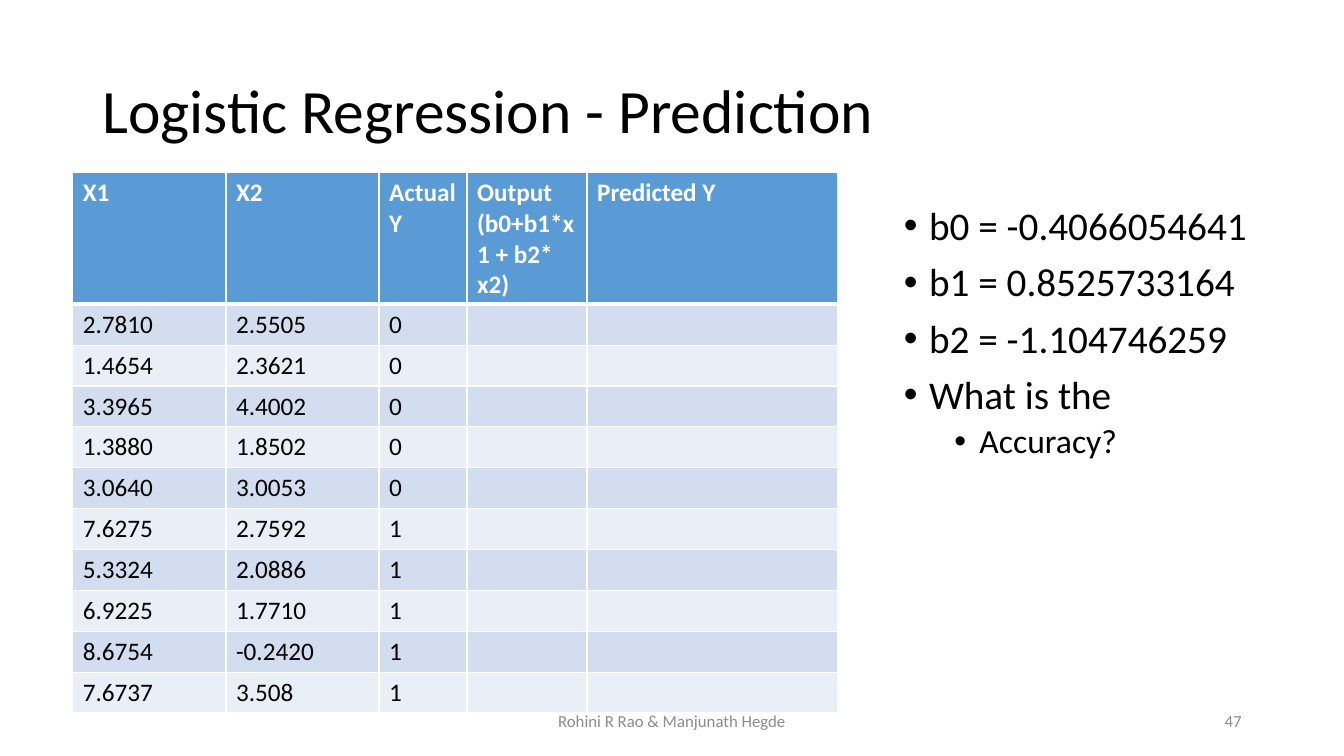
import dataclasses

import lxml.etree
import pptx
import pptx.dml.color
import pptx.enum.text
import pptx.oxml.ns
import pptx.util

Pt = pptx.util.Pt
Align = pptx.enum.text.PP_ALIGN
Anchor = pptx.enum.text.MSO_ANCHOR
FONT = "Calibri"
BLACK, WHITE, GREY = "000000", "FFFFFF", "8C8C8C"
HEAD = "5B9BD5"
BANDS = ("D2DEEF", "EAEFF7")


@dataclasses.dataclass
class Point:
    text: str
    size: float = 28
    left: float = 18
    gap: float = 10
    level: int = 0


@dataclasses.dataclass
class Note:
    text: str
    left: float
    width: float
    align: Align


POINTS = [
    Point("b0 = -0.4066054641", gap=0),
    Point("b1 = 0.8525733164"),
    Point("b2 = -1.104746259"),
    Point("What is the"),
    Point("Accuracy?", size=24, left=54, gap=5, level=1),
]
NOTES = [
    Note("Rohini R Rao & Manjunath Hegde", 318, 324, Align.CENTER),
    Note("47", 678, 216, Align.RIGHT),
]
WIDTHS = (109.4, 109.4, 62.9, 85.7, 179)
TITLES = ("X1", "X2", "Actual Y", "Output\n(b0+b1*x1 + b2* x2)", "Predicted Y")
DATA = [
    ("2.7810", "2.5505", "0"),
    ("1.4654", "2.3621", "0"),
    ("3.3965", "4.4002", "0"),
    ("1.3880", "1.8502", "0"),
    ("3.0640", "3.0053", "0"),
    ("7.6275", "2.7592", "1"),
    ("5.3324", "2.0886", "1"),
    ("6.9225", "1.7710", "1"),
    ("8.6754", "-0.2420", "1"),
    ("7.6737", "3.508", "1"),
]


def paint(target, tint: str) -> None:
    target.rgb = pptx.dml.color.RGBColor.from_string(tint)


def style(font, size: float, tint: str, bold: bool = False) -> None:
    font.name, font.size, font.bold = FONT, Pt(size), bold
    paint(font.color, tint)


def write(para, text: str, size: float, tint: str, bold: bool = False) -> None:
    run = para.add_run()
    run.text = text
    style(run.font, size, tint, bold)


def child(parent, tag: str, **attrs: str):
    return lxml.etree.SubElement(parent, pptx.oxml.ns.qn(tag), attrs)


def add_box(slide, left: float, top: float, width: float, height: float):
    frame = slide.shapes.add_textbox(Pt(left), Pt(top), Pt(width), Pt(height)).text_frame
    frame.word_wrap = True
    return frame


def draw_title(slide) -> None:
    title = slide.shapes.title
    title.left, title.top, title.width, title.height = Pt(66), Pt(28.8), Pt(828), Pt(104.4)
    frame = title.text_frame
    frame.auto_size = pptx.enum.text.MSO_AUTO_SIZE.NONE
    frame.vertical_anchor = Anchor.MIDDLE
    para = frame.paragraphs[0]
    para.alignment, para.line_spacing = Align.LEFT, 0.9
    write(para, "Logistic Regression - Prediction", 44, BLACK)


def draw_points(slide, points: list[Point]) -> None:
    frame = add_box(slide, 638.6, 144, 408.2, 342.7)
    for index, point in enumerate(points):
        para = frame.add_paragraph() if index else frame.paragraphs[0]
        props = para._p.get_or_add_pPr()
        props.set("marL", str(Pt(point.left)))
        props.set("indent", str(Pt(-18)))
        child(props, "a:buFont", typeface="Arial")
        child(props, "a:buChar", char="•")
        para.level, para.line_spacing = point.level, 0.9
        para.space_before = Pt(point.gap)
        write(para, point.text, point.size, BLACK)


def draw_cell(cell, text: str, fill: str, tint: str, head: bool, base: float) -> None:
    props = cell._tc.get_or_add_tcPr()
    for side, width in (("L", 1), ("R", 1), ("T", 1), ("B", base)):
        line = child(props, "a:ln" + side, w=str(Pt(width)))
        child(child(line, "a:solidFill"), "a:srgbClr", val=WHITE)
    cell.fill.solid()
    paint(cell.fill.fore_color, fill)
    frame = cell.text_frame
    for index, part in enumerate(text.split("\n")):
        para = frame.add_paragraph() if index else frame.paragraphs[0]
        if part:
            write(para, part, 18, tint, head)


def draw_table(slide) -> None:
    rows = [TITLES] + [row + ("", "") for row in DATA]
    frame = slide.shapes.add_table(
        len(rows), len(WIDTHS), Pt(52), Pt(123.3), Pt(sum(WIDTHS)), Pt(386))
    table = frame.table
    for col, width in zip(table.columns, WIDTHS):
        col.width = Pt(width)
    for r, row in enumerate(rows):
        head = r == 0
        table.rows[r].height = Pt(94 if head else 29.2)
        fill = HEAD if head else BANDS[(r - 1) % 2]
        for c, text in enumerate(row):
            draw_cell(table.cell(r, c), text, fill, WHITE if head else BLACK,
                      head, 3 if head else 1)


def draw_note(slide, note: Note) -> None:
    frame = add_box(slide, note.left, 500.5, note.width, 28.8)
    frame.vertical_anchor = Anchor.MIDDLE
    para = frame.paragraphs[0]
    para.alignment = note.align
    write(para, note.text, 12, GREY)


def main() -> None:
    deck = pptx.Presentation()
    deck.slide_width, deck.slide_height = Pt(960), Pt(540)
    slide = deck.slides.add_slide(deck.slide_layouts.get_by_name("Title Only"))
    draw_title(slide)
    draw_points(slide, POINTS)
    draw_table(slide)
    for note in NOTES:
        draw_note(slide, note)
    deck.save("out.pptx")


if __name__ == "__main__":
    main()
